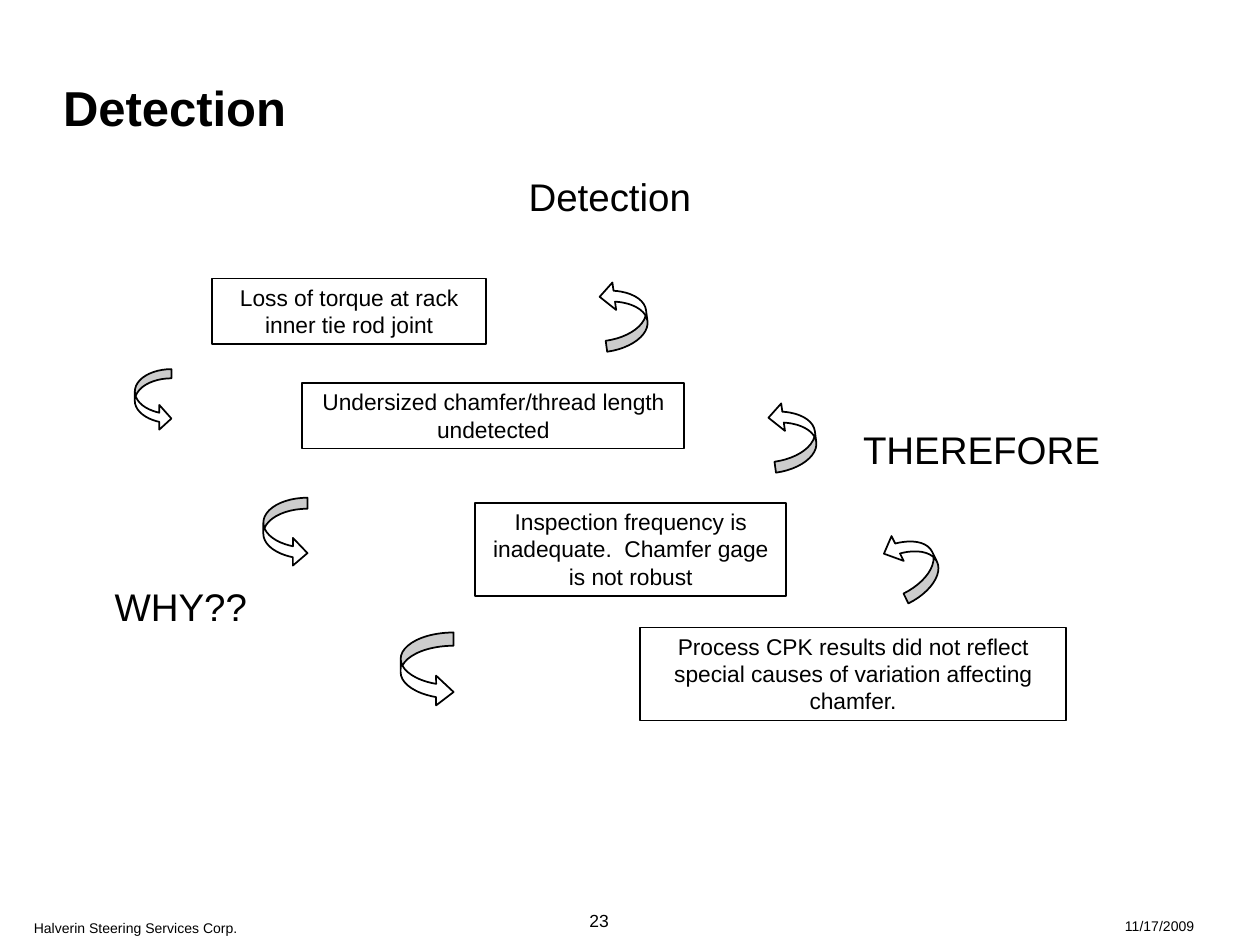
from pptx import Presentation
from pptx.dml.color import RGBColor
from pptx.enum.shapes import MSO_SHAPE
from pptx.enum.text import MSO_ANCHOR, PP_ALIGN
from pptx.util import Inches, Pt

RECTANGLE = MSO_SHAPE.RECTANGLE
CURVED_ARROW = MSO_SHAPE.CURVED_RIGHT_ARROW
TOP, BOTTOM = MSO_ANCHOR.TOP, MSO_ANCHOR.BOTTOM
LEFT, CENTER = PP_ALIGN.LEFT, PP_ALIGN.CENTER
TITLE_ONLY = 5

# Causes from the symptom down to the root: left, top, width, height, text
CAUSES = [
    (1.68, 2.21, 2.18, 0.52, "Loss of torque at rack inner tie rod joint"),
    (2.4, 3.04, 3.03, 0.52, "Undersized chamfer/thread length undetected"),
    (3.77, 3.99, 2.47, 0.74,
     "Inspection frequency is inadequate.  Chamfer gage is not robust"),
    (5.08, 4.98, 3.38, 0.74,
     "Process CPK results did not reflect special causes of variation "
     "affecting chamfer."),
]
# Curved arrows: left, top, width, height, rotation
WHY_ARROWS = [
    (1.07, 2.93, 0.29, 0.49, 0),
    (2.09, 3.95, 0.35, 0.55, 0),
    (3.18, 5.02, 0.42, 0.59, 0),
]
THEREFORE_ARROWS = [
    (4.78, 2.22, 0.35, 0.55, 172.2),
    (6.12, 3.18, 0.35, 0.55, 172.2),
    (7.07, 4.19, 0.35, 0.55, 153.8),
]
HEADINGS = [
    (3.85, 1.33, 1.98, 0.46, "Detection", CENTER),
    (0.52, 4.59, 1.83, 0.46, "WHY??", CENTER),
    (6.76, 3.34, 2.73, 0.46, "THEREFORE", LEFT),
]
FOOTERS = [
    (0.17, 7.25, 4.5, 0.36, "Halverin Steering Services Corp.", 8),
    (4.58, 7.17, 0.67, 0.27, "23", 10),
    (8.83, 7.23, 1.42, 0.24, "11/17/2009", 8),
]


def color(value):
    return RGBColor.from_string(value)


class SlideBuilder:
    font = "Arial"
    ink = "000000"
    paper = "FFFFFF"

    def __init__(self, page):
        self.page = page

    def set_text(self, shape, text, size, align=LEFT, anchor=TOP,
                 inset=(0.09, 0.04), bold=False):
        frame = shape.text_frame
        side, edge = (Inches(length) for length in inset)
        frame_format = {
            "word_wrap": True, "vertical_anchor": anchor,
            "margin_left": side, "margin_right": side,
            "margin_top": edge, "margin_bottom": edge,
        }
        for name, value in frame_format.items():
            setattr(frame, name, value)
        para = frame.paragraphs[0]
        para.alignment = align
        span = para.add_run()
        span.text = text
        for name, value in {"name": self.font, "size": Pt(size),
                            "bold": bold}.items():
            setattr(span.font, name, value)
        span.font.color.rgb = color(self.ink)

    def title(self, place, text):
        title = self.page.shapes.title
        for name, value in zip(("left", "top", "width", "height"), place):
            setattr(title, name, Inches(value))
        self.set_text(title, text, 28, anchor=BOTTOM, inset=(0, 0), bold=True)

    def label(self, place, text, size, **style):
        box = self.page.shapes.add_textbox(*map(Inches, place))
        self.set_text(box, text, size, **style)

    def outline(self, kind, place):
        shape = self.page.shapes.add_shape(kind, *map(Inches, place))
        shape.shadow.inherit = False
        shape.line.color.rgb = color(self.ink)
        shape.line.width = Pt(1)
        return shape

    def cause(self, place, text):
        box = self.outline(RECTANGLE, place)
        box.fill.background()
        self.set_text(box, text, 13, align=CENTER)

    def curved_arrow(self, place, rotation):
        arrow = self.outline(CURVED_ARROW, place)
        arrow.fill.solid()
        arrow.fill.fore_color.rgb = color(self.paper)
        arrow.rotation = rotation
        width, height = place[2:]
        # Band thickness, head breadth and head length, relative to the width
        for index, ratio in enumerate((0.25, 0.4 * height / width, 0.33)):
            arrow.adjustments[index] = ratio


def main():
    deck = Presentation()
    deck.slide_width, deck.slide_height = Inches(10), Inches(7.5)
    page = deck.slides.add_slide(deck.slide_layouts[TITLE_ONLY])
    builder = SlideBuilder(page)

    # Footer line and title
    for *place, text, size in FOOTERS:
        builder.label(place, text, size, inset=(0.1, 0.05))
    builder.title((0.5, 0.08, 6.5, 1), "Detection")

    # Chain of causes
    for *place, text in CAUSES:
        builder.cause(place, text)
    for *place, rotation in WHY_ARROWS + THEREFORE_ARROWS:
        builder.curved_arrow(place, rotation)

    # Headings around the chain
    for *place, text, align in HEADINGS:
        builder.label(place, text, 22, align=align)

    deck.save("out.pptx")


if __name__ == "__main__":
    main()
